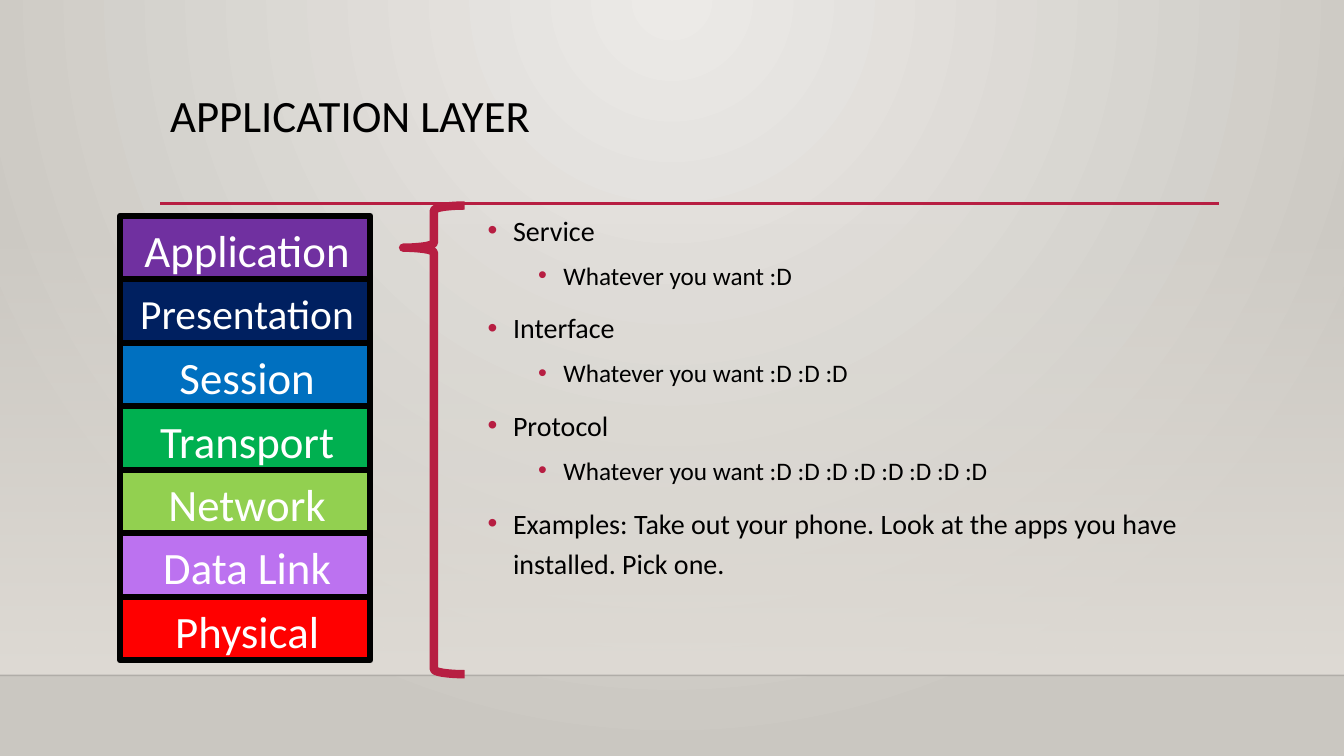
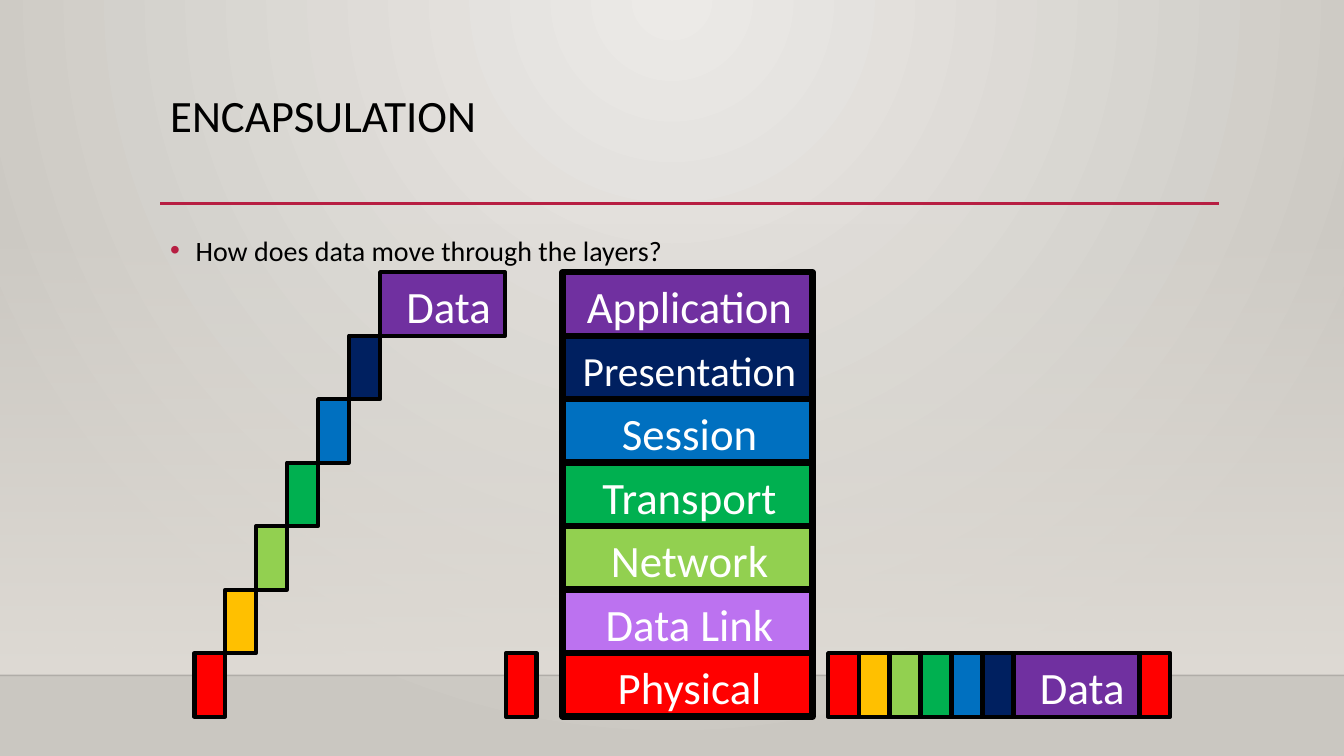
from pptx import Presentation
from pptx.dml.color import RGBColor
from pptx.enum.shapes import MSO_CONNECTOR, MSO_SHAPE
from pptx.enum.text import MSO_ANCHOR, PP_ALIGN
from pptx.oxml.ns import qn
from pptx.util import Cm, Pt
from lxml import etree

RECTANGLE = MSO_SHAPE.RECTANGLE
LEFT_BRACE = MSO_SHAPE.LEFT_BRACE
STRAIGHT = MSO_CONNECTOR.STRAIGHT
MIDDLE = MSO_ANCHOR.MIDDLE
CENTER = PP_ALIGN.CENTER

BLACK = RGBColor(0x00, 0x00, 0x00)
WHITE = RGBColor(0xFF, 0xFF, 0xFF)
CRIMSON = RGBColor(0xB7, 0x1E, 0x42)
GLOW = RGBColor(0xEC, 0xEA, 0xE7)
EDGE = RGBColor(0xCA, 0xC7, 0xC1)
WALL = RGBColor(0xDF, 0xDB, 0xD5)
PURPLE = RGBColor(0x70, 0x30, 0xA0)
NAVY = RGBColor(0x00, 0x20, 0x60)
BLUE = RGBColor(0x00, 0x70, 0xC0)
GREEN = RGBColor(0x00, 0xB0, 0x50)
LIME = RGBColor(0x92, 0xD0, 0x50)
LILAC = RGBColor(0xBC, 0x72, 0xF0)
AMBER = RGBColor(0xFF, 0xC0, 0x00)
RED = RGBColor(0xFF, 0x00, 0x00)

FONT = "Calibri"
SLIDE_WIDTH, SLIDE_HEIGHT = 33.87, 19.05
FLOOR_TOP = 17.02
CONTENT_LEFT, CONTENT_WIDTH = 4.04, 26.67
LAYER_WIDTH, LAYER_HEIGHT = 6.3, 1.6
DATA_WIDTH = 3.15
HEADER_WIDTH, HEADER_PITCH = 0.77, 0.78

LAYERS = [
    ("Application", PURPLE, 32),
    ("Presentation", NAVY, 29.6),
    ("Session", BLUE, 32),
    ("Transport", GREEN, 32),
    ("Network", LIME, 32),
    ("Data Link", LILAC, 32),
    ("Physical", RED, 32),
]
HEADERS = [NAVY, BLUE, GREEN, LIME, AMBER, RED]
LEVELS = [
    {"size": 20, "before": 10, "indent": 0.64},
    {"size": 18, "before": 5, "indent": 1.91},
]
APPLICATION_POINTS = [
    (0, "Service"),
    (1, "Whatever you want :D"),
    (0, "Interface"),
    (1, "Whatever you want :D :D :D"),
    (0, "Protocol"),
    (1, "Whatever you want :D :D :D :D :D :D :D :D"),
    (0, "Examples: Take out your phone. Look at the apps you have installed. Pick one."),
]
ENCAPSULATION_POINTS = [(0, "How does data move through the layers?")]


def set_alpha(color_element, percent):
    etree.SubElement(color_element, qn("a:alpha")).set("val", str(percent * 1000))


def set_stops(fill, colors):
    fill.gradient()
    for stop, color in zip(fill.gradient_stops, colors):
        stop.color.rgb = color


def write(paragraph, words, size, color):
    run = paragraph.add_run()
    run.text = words
    run.font.name = FONT
    run.font.size = Pt(size)
    run.font.color.rgb = color


def add_text_area(slide, left, top, width, height):
    frame = slide.shapes.add_textbox(Cm(left), Cm(top), Cm(width), Cm(height)).text_frame
    frame.word_wrap = True
    return frame


def add_rule(slide, left, right, y, color, weight):
    rule = slide.shapes.add_connector(STRAIGHT, Cm(left), Cm(y), Cm(right), Cm(y))
    rule.line.color.rgb = color
    rule.line.width = Pt(weight)
    etree.SubElement(rule._element.spPr, qn("a:effectLst"))
    return rule


def paint_background(slide):
    set_stops(slide.background.fill, (GLOW, EDGE))
    gradient = slide._element.find(".//" + qn("a:gradFill"))
    radial = etree.Element(qn("a:path"))
    radial.set("path", "circle")
    focus = etree.SubElement(radial, qn("a:fillToRect"))
    for side, value in (("l", 43000), ("t", 0), ("r", 43000), ("b", 100000)):
        focus.set(side, str(value))
    gradient.replace(gradient.find(qn("a:lin")), radial)


def start_slide(deck, title):
    slide = deck.slides.add_slide(deck.slide_layouts[6])
    paint_background(slide)
    wall = slide.shapes.add_shape(
        RECTANGLE, 0, Cm(5.61), Cm(SLIDE_WIDTH), Cm(FLOOR_TOP - 5.61))
    wall.shadow.inherit = False
    wall.line.fill.background()
    set_stops(wall.fill, (WALL, WALL))
    wall.fill.gradient_angle = 270
    set_alpha(wall._element.spPr.find(".//" + qn("a:srgbClr")), 0)
    floor_edge = add_rule(slide, 0, SLIDE_WIDTH, FLOOR_TOP, BLACK, 1)
    set_alpha(floor_edge._element.spPr.find(".//" + qn("a:srgbClr")), 20)
    add_rule(slide, CONTENT_LEFT, 30.73, 5.13, CRIMSON, 2.5)
    heading = add_text_area(slide, CONTENT_LEFT, 2.24, CONTENT_WIDTH, 2.92).paragraphs[0]
    heading.line_spacing = 0.9
    write(heading, title, 32, BLACK)
    return slide


def add_bullets(slide, points, left, top, width, height):
    frame = add_text_area(slide, left, top, width, height)
    for index, (level, words) in enumerate(points):
        style = LEVELS[level]
        paragraph = frame.add_paragraph() if index else frame.paragraphs[0]
        paragraph.level = level
        paragraph.line_spacing = 1.2
        paragraph.space_before = Pt(style["before"])
        properties = paragraph._p.get_or_add_pPr()
        properties.set("marL", str(Cm(style["indent"])))
        properties.set("indent", str(-Cm(0.64)))
        bullet_color = etree.SubElement(properties, qn("a:buClr"))
        etree.SubElement(bullet_color, qn("a:srgbClr")).set("val", str(CRIMSON))
        etree.SubElement(properties, qn("a:buFont")).set("typeface", "Arial")
        etree.SubElement(properties, qn("a:buChar")).set("char", "•")
        write(paragraph, words, style["size"], BLACK)


def add_block(slide, left, top, width, color, border, label="", size=32, inset=0.1):
    block = slide.shapes.add_shape(
        RECTANGLE, Cm(left), Cm(top), Cm(width), Cm(LAYER_HEIGHT))
    block.shadow.inherit = False
    block.fill.solid()
    block.fill.fore_color.rgb = color
    block.line.color.rgb = BLACK
    block.line.width = Pt(border)
    if label:
        frame = block.text_frame
        frame.margin_left, frame.margin_top = Cm(inset), Cm(0.1)
        frame.margin_right = frame.margin_bottom = 0
        frame.vertical_anchor = MIDDLE
        frame.paragraphs[0].alignment = CENTER
        write(frame.paragraphs[0], label, size, WHITE)


def add_layer_stack(slide, left, top):
    for row, (name, color, size) in enumerate(LAYERS):
        add_block(slide, left, top + row * LAYER_HEIGHT, LAYER_WIDTH, color, 4.5, name, size)


def add_packet(slide, left, top, drop):
    add_block(slide, left, top, DATA_WIDTH, PURPLE, 3, "Data", inset=0.3)
    for step, color in enumerate(HEADERS, 1):
        add_block(slide, left - step * HEADER_PITCH, top + step * drop,
                  HEADER_WIDTH, color, 3)
    add_block(slide, left + DATA_WIDTH + 0.02, top + len(HEADERS) * drop,
              HEADER_WIDTH, RED, 3)


def build_application_layer(deck):
    slide = start_slide(deck, "APPLICATION LAYER")
    add_bullets(slide, APPLICATION_POINTS, 12.04, 5.08, 19.51, 12.09)
    add_layer_stack(slide, 3.03, 5.44)
    brace = slide.shapes.add_shape(LEFT_BRACE, Cm(10.16), Cm(5.18), Cm(1.55), Cm(11.81))
    brace.shadow.inherit = False
    brace.fill.background()
    brace.line.color.rgb = CRIMSON
    brace.line.width = Pt(6)
    brace.adjustments[0] = 0.08
    brace.adjustments[1] = 0.09


def build_encapsulation(deck):
    slide = start_slide(deck, "ENCAPSULATION")
    stack_top = 6.86
    add_bullets(slide, ENCAPSULATION_POINTS, CONTENT_LEFT, 5.59, CONTENT_WIDTH, 9.58)
    add_layer_stack(slide, 14.18, stack_top)
    add_packet(slide, 9.58, stack_top, LAYER_HEIGHT)
    add_packet(slide, 25.55, stack_top + len(HEADERS) * LAYER_HEIGHT, 0)


def main():
    deck = Presentation()
    deck.slide_width, deck.slide_height = Cm(SLIDE_WIDTH), Cm(SLIDE_HEIGHT)
    build_application_layer(deck)
    build_encapsulation(deck)
    deck.save("out.pptx")


if __name__ == "__main__":
    main()
